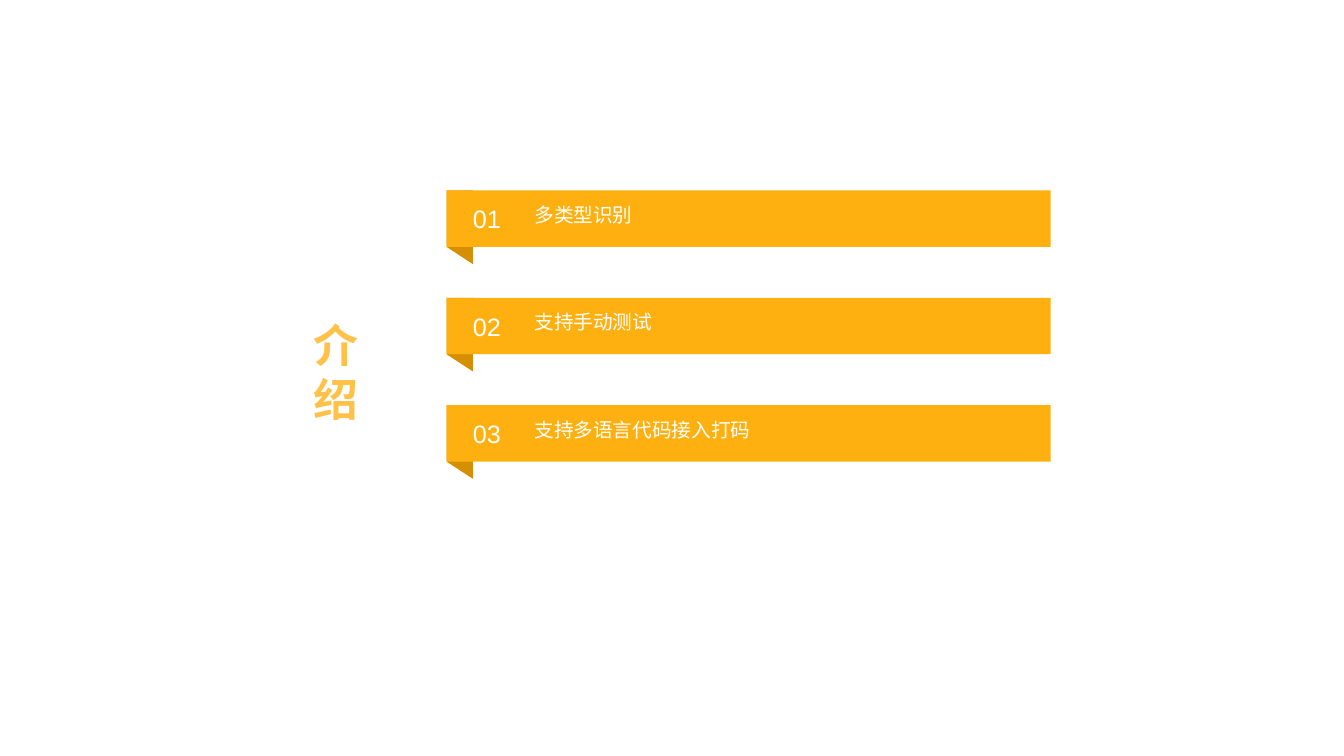
from dataclasses import dataclass

from lxml import etree
from pptx import Presentation
from pptx.dml.color import RGBColor
from pptx.enum.shapes import MSO_SHAPE
from pptx.enum.text import MSO_ANCHOR, MSO_AUTO_SIZE, PP_ALIGN
from pptx.oxml.ns import qn
from pptx.util import Inches, Pt

RECTANGLE = MSO_SHAPE.RECTANGLE
TOP, MIDDLE = MSO_ANCHOR.TOP, MSO_ANCHOR.MIDDLE
LEFT = PP_ALIGN.LEFT
NO_AUTOFIT, GROW = MSO_AUTO_SIZE.NONE, MSO_AUTO_SIZE.SHAPE_TO_FIT_TEXT

COLORS = {"banner": "FFB011", "fold": "D68F00", "title": "FFC148", "text": "FFFFFF"}
CJK_FONT, NUMBER_FONT = "Noto Sans CJK SC", "Arial"

# Banner geometry in inches
BANNER_LEFT, BANNER_WIDTH, BANNER_HEIGHT = 4.43, 5.99, 0.56
FOLD_WIDTH, FOLD_HEIGHT = 0.26, 0.73
FIRST_TOP, LAST_TOP = 1.89, 4.02


@dataclass
class Banner:
    number: str
    label: str


BANNERS = [
    Banner("01", "多类型识别"),
    Banner("02", "支持手动测试"),
    Banner("03", "支持多语言代码接入打码"),
]


def set_text(shape, text: str, font: str, size: int, color: str, bold: bool = False) -> None:
    tf = shape.text_frame
    tf.text = text
    p = tf.paragraphs[0]
    p.alignment = LEFT
    r = p.runs[0]
    r.font.name = font
    r.font.size = Pt(size)
    r.font.bold = bold
    r.font.color.rgb = RGBColor.from_string(COLORS[color])
    # East Asian characters take their own typeface entry
    latin = r.font._element.find(qn("a:latin"))
    ea = etree.Element(qn("a:ea"), typeface=font)
    latin.addnext(ea)


def set_frame(shape, anchor, left: float, top: float, right: float, bottom: float) -> None:
    tf = shape.text_frame
    tf.vertical_anchor = anchor
    tf.margin_left, tf.margin_top = Inches(left), Inches(top)
    tf.margin_right, tf.margin_bottom = Inches(right), Inches(bottom)


def paint(shape, color: str) -> None:
    shape.shadow.inherit = False
    shape.fill.solid()
    shape.fill.fore_color.rgb = RGBColor.from_string(COLORS[color])
    shape.line.fill.background()


def add_banner(s, banner: Banner, top: float) -> None:
    # Folded ribbon end behind the bar
    right = BANNER_LEFT + FOLD_WIDTH
    outline = [
        (BANNER_LEFT, top),
        (right, top),
        (right, top + FOLD_HEIGHT),
        (BANNER_LEFT, top + BANNER_HEIGHT),
    ]
    points = [(Inches(x), Inches(y)) for x, y in outline]
    builder = s.shapes.build_freeform(*points[0])
    builder.add_line_segments(points[1:], close=True)
    paint(builder.convert_to_shape(), "fold")

    # Bar with its label
    bar = s.shapes.add_shape(
        RECTANGLE, Inches(BANNER_LEFT), Inches(top), Inches(BANNER_WIDTH), Inches(BANNER_HEIGHT)
    )
    paint(bar, "banner")
    set_frame(bar, MIDDLE, 0.87, 0.04, 0.04, 0.12)
    bar.text_frame.word_wrap = True
    set_text(bar, banner.label, CJK_FONT, 14, "text")

    # Number
    number = s.shapes.add_textbox(Inches(right), Inches(top + 0.08), Inches(0.49), Inches(0.4))
    set_frame(number, MIDDLE, 0, 0.05, 0, 0.05)
    number.text_frame.word_wrap = True
    number.text_frame.auto_size = GROW
    set_text(number, banner.number, NUMBER_FONT, 18, "text")


def main() -> None:
    prs = Presentation()
    prs.slide_width, prs.slide_height = Inches(13.33), Inches(7.5)
    s = prs.slides.add_slide(prs.slide_layouts[5])

    # Title, one character per line in a narrow box
    title = s.shapes.title
    title.left, title.top = Inches(3.01), Inches(3.1)
    title.width, title.height = Inches(0.61), Inches(1.18)
    set_frame(title, TOP, 0.1, 0.05, 0.1, 0.05)
    title.text_frame.word_wrap = True
    title.text_frame.auto_size = NO_AUTOFIT
    set_text(title, "介绍", CJK_FONT, 32, "title", bold=True)

    # Evenly spaced banners
    step = (LAST_TOP - FIRST_TOP) / (len(BANNERS) - 1)
    for i, banner in enumerate(BANNERS):
        add_banner(s, banner, FIRST_TOP + i * step)

    prs.save("out.pptx")


if __name__ == "__main__":
    main()
